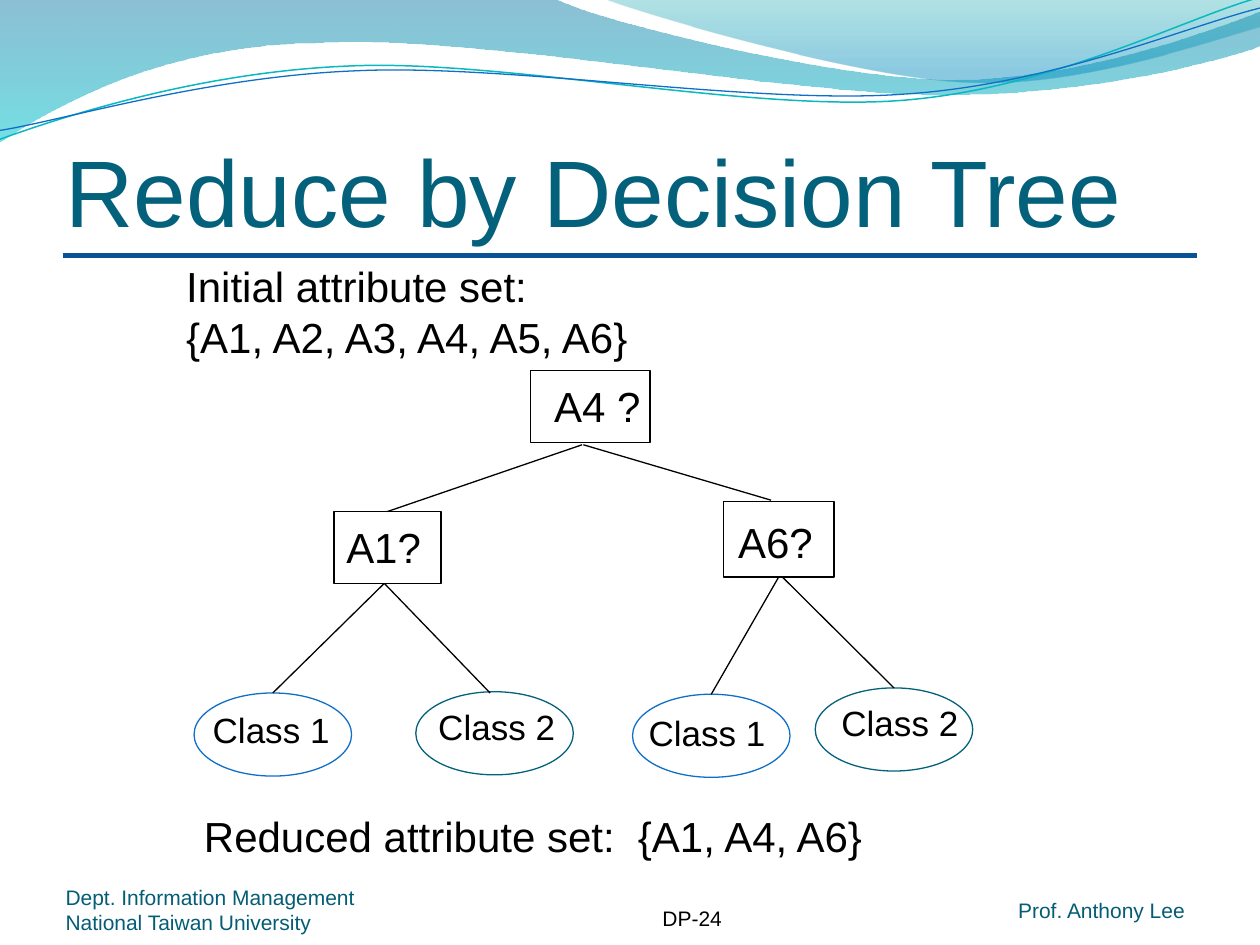
from dataclasses import dataclass

from lxml import etree
from pptx import Presentation
from pptx import util as u
from pptx.dml.color import RGBColor
from pptx.enum import shapes, text
from pptx.oxml import ns


@dataclass(frozen=True)
class Theme:
    """Colours, font and type sizes of the deck."""

    font: str = "Arial"
    ink: str = "000000"
    title: str = "04617B"
    footer: str = "045D75"
    rule: str = "095295"
    blue: str = "0F6FC6"
    teal: str = "0AB8BF"
    title_size: int = 54
    body_size: int = 24
    leaf_size: int = 20
    footer_size: int = 12


THEME = Theme()

WAVES = [
    ([(0, -0.01), (4.4, -0.01), (4.76, 0.17, 6.64, 0.63, 7.58, 0.63),
      (8.53, 0.63, 9.58, 0.26, 10, 0.09), (10.01, 0.36),
      (9.83, 0.44, 8.7, 0.76, 7.46, 0.75), (6.22, 0.75, 3.82, 0.28, 2.57, 0.34),
      (1.29, 0.35, 0.46, 0.83, -0.01, 1.13), (0, -0.01)],
     [(0, "0074A1", 45), (1, "00C6CF", 55)]),
    ([(4.79, -0.01), (5.09, 0.11, 6.82, 0.62, 7.69, 0.65),
      (8.56, 0.69, 9.61, 0.32, 10, 0.21), (10, 0), (4.79, -0.01)],
     [(0, "00A1A9", 30), (0.8, "008BBF", 45)]),
]
STRANDS = [
    ([(-0.02, 0.87), (0.47, 0.72, 1.58, 0.41, 2.78, 0.42),
      (3.96, 0.42, 5.91, 0.93, 7.12, 0.9), (8.32, 0.87, 9.4, 0.36, 10, 0.22)],
     THEME.teal, 0.85),
    ([(-0.02, 0.8), (0.46, 0.75, 1.64, 0.45, 2.83, 0.46),
      (4.04, 0.46, 5.96, 0.88, 7.16, 0.85), (8.35, 0.83, 9.42, 0.42, 10.02, 0.3)],
     THEME.blue, 0.75),
]
TESTS = {
    "root": ("A4 ?", (4.21, 2.94, 0.95, 0.57), (4.3, 2.97, 0.97, 0.5)),
    "left": ("A1?", (2.65, 4.06, 0.85, 0.57), (2.65, 4.09, 0.8, 0.5)),
    "right": ("A6?", (5.74, 3.98, 0.88, 0.6), (5.76, 4.05, 0.8, 0.5)),
}
LEAVES = {
    "left 1": ("Class 1", (1.54, 5.5), (1.59, 5.57), THEME.blue),
    "left 2": ("Class 2", (3.3, 5.49), (3.38, 5.55), THEME.title),
    "right 1": ("Class 1", (5.02, 5.51), (5.05, 5.6), THEME.blue),
    "right 2": ("Class 2", (6.47, 5.46), (6.58, 5.52), THEME.title),
}
BRANCHES = [
    ((4.62, 3.53, 3.07, 4.05), None, "left"),
    ((4.63, 3.53, 6.12, 3.97), None, None),
    ((3.05, 4.63, 2.17, 5.48), None, "left 1"),
    ((3.05, 4.63, 3.89, 5.5), None, None),
    ((6.18, 4.6, 5.63, 5.51), "right", "right 1"),
    ((6.21, 4.58, 7.09, 5.45), None, "right 2"),
]


def inches(values):
    """Turn a sequence of numbers into lengths."""
    return [u.Inches(value) for value in values]


def style_text(frame, size, color, align=text.PP_ALIGN.LEFT):
    """Format every run of a text frame alike."""
    for para in frame.paragraphs:
        para.alignment = align
        for span in para.runs:
            span.font.name = THEME.font
            span.font.size = u.Pt(size)
            span.font.color.rgb = RGBColor.from_string(color)


def style_line(line, color, width=0.75):
    """Set the colour and width of a line."""
    line.color.rgb = RGBColor.from_string(color)
    line.width = u.Pt(width)


def add_title(page, words):
    """Fill and place the title placeholder."""
    title = page.shapes.title
    title.left, title.top, title.width, title.height = inches((0.42, 1, 8.99, 1.01))
    title.text_frame.text = words
    title.text_frame.vertical_anchor = text.MSO_ANCHOR.BOTTOM
    style_text(title.text_frame, THEME.title_size, THEME.title)


def add_label(page, words, bounds, size=THEME.body_size, wrap=False):
    """Add a text box that fits its text."""
    frame = page.shapes.add_textbox(*inches(bounds)).text_frame
    frame.text = words
    frame.word_wrap = wrap
    frame.auto_size = text.MSO_AUTO_SIZE.SHAPE_TO_FIT_TEXT
    style_text(frame, size, THEME.ink)


def add_footer(page, words, bounds, color=THEME.footer, align=text.PP_ALIGN.LEFT):
    """Add a footer text without margins, set on the bottom edge."""
    frame = page.shapes.add_textbox(*inches(bounds)).text_frame
    frame.text = words
    frame.word_wrap = True
    frame.vertical_anchor = text.MSO_ANCHOR.BOTTOM
    frame.margin_left = frame.margin_right = frame.margin_top = frame.margin_bottom = 0
    style_text(frame, THEME.footer_size, color, align)


def add_node(page, kind, bounds, color=THEME.ink):
    """Add an unfilled outline shape."""
    node = page.shapes.add_shape(kind, *inches(bounds))
    node.shadow.inherit = False
    node.fill.background()
    style_line(node.line, color)
    return node


def add_line(page, ends, color=THEME.ink, width=0.75):
    """Add a straight connector without a shadow."""
    line = page.shapes.add_connector(shapes.MSO_CONNECTOR.STRAIGHT, *inches(ends))
    style_line(line.line, color, width)
    etree.SubElement(line._element.spPr, ns.qn("a:effectLst"))
    return line


def add_curve(page, segments, close):
    """Add a freeform whose six-number segments are cubic curves."""
    points = [inches(pair) for part in segments for pair in zip(part[::2], part[1::2])]
    builder = page.shapes.build_freeform(*points[0])
    builder.add_line_segments(points[1:], close=close)
    curve = builder.convert_to_shape()
    curve.shadow.inherit = False
    steps = iter(list(curve._element.spPr.iter(ns.qn("a:lnTo"))))
    for part in segments[1:]:
        step = next(steps)
        if len(part) == 6:
            step.addprevious(bend := etree.Element(ns.qn("a:cubicBezTo")))
            for corner in (step, next(steps), next(steps)):
                bend.append(corner[0])
                corner.getparent().remove(corner)
    return curve


def add_wave(page, segments, stops):
    """Add a wave with a translucent vertical gradient."""
    wave = add_curve(page, segments, True)
    wave.line.fill.background()
    wave.fill.gradient()
    wave.fill.gradient_angle = 270
    for stop, (position, color, _) in zip(wave.fill.gradient_stops, stops):
        stop.position = position
        stop.color.rgb = RGBColor.from_string(color)
    tints = wave._element.spPr.iter(ns.qn("a:srgbClr"))
    for tint, (_, _, opacity) in zip(tints, stops):
        etree.SubElement(tint, ns.qn("a:alpha"), val=str(opacity * 1000))


def add_strand(page, segments, color, width):
    """Add an open curved line, slightly tilted."""
    strand = add_curve(page, segments, False)
    strand.rotation = 357.3
    strand.fill.background()
    style_line(strand.line, color, width)


def add_tree(page):
    """Add the decision tree with its labels and branches."""
    nodes = {}
    for name, (words, bounds, label) in TESTS.items():
        nodes[name] = add_node(page, shapes.MSO_SHAPE.RECTANGLE, bounds)
        add_label(page, words, label, wrap=name == "root")
    for name, (words, corner, label, color) in LEAVES.items():
        nodes[name] = add_node(page, shapes.MSO_SHAPE.OVAL, (*corner, 1.25, 0.66), color)
        add_label(page, words, (*label, 1.14, 0.44), THEME.leaf_size)
    for ends, parent, child in BRANCHES:
        branch = add_line(page, ends)
        if parent:
            branch.begin_connect(nodes[parent], 2)
        if child:
            branch.end_connect(nodes[child], 0)


def main():
    """Build and save the slide."""
    deck = Presentation()
    deck.slide_width, deck.slide_height = inches((10, 7.5))
    page = deck.slides.add_slide(deck.slide_layouts[5])
    for wave in WAVES:
        add_wave(page, *wave)
    for strand in STRANDS:
        add_strand(page, *strand)
    add_line(page, (0.5, 2.03, 9.5, 2.03), THEME.rule, 3)
    add_footer(page, "Dept. Information Management\nNational Taiwan University", (0.52, 7.02, 2.51, 0.4))
    add_footer(page, "Prof. Anthony Lee", (8.08, 6.92, 1.42, 0.4))
    add_footer(page, "DP-24", (4.9, 6.99, 0.83, 0.4), THEME.ink, text.PP_ALIGN.RIGHT)
    add_title(page, "Reduce by Decision Tree")
    add_label(page, "Initial attribute set:\n{A1, A2, A3, A4, A5, A6}", (1.38, 2.02, 3.73, 0.91))
    add_tree(page)
    add_label(page, "Reduced attribute set:  {A1, A4, A6}", (1.52, 6.38, 5.48, 0.5))
    deck.save("out.pptx")


if __name__ == "__main__":
    main()
